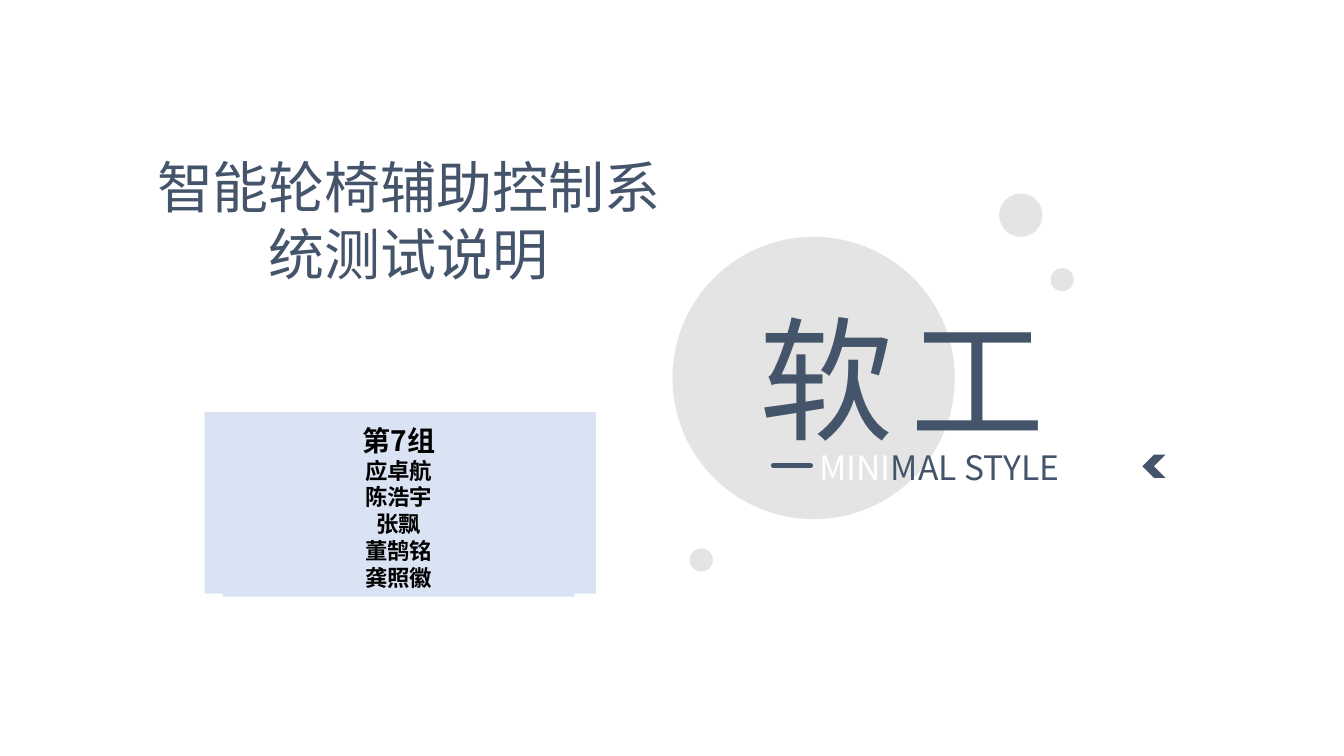
import pptx
import pptx.util
import pptx.dml.color
import pptx.enum.shapes
import pptx.enum.text
import pptx.oxml.ns
import lxml.etree

Inches = pptx.util.Inches
RGBColor = pptx.dml.color.RGBColor
SHAPE = pptx.enum.shapes.MSO_SHAPE
ALIGN = pptx.enum.text.PP_ALIGN
ANCHOR = pptx.enum.text.MSO_ANCHOR
qn = pptx.oxml.ns.qn

NAVY = RGBColor(0x44, 0x54, 0x6A)
GREY = RGBColor(0xD9, 0xD9, 0xD9)
PALE_BLUE = RGBColor(0xDA, 0xE3, 0xF3)
WHITE = RGBColor(0xFF, 0xFF, 0xFF)
BLACK = RGBColor(0, 0, 0)
FONT = "Noto Sans CJK SC"


def add_filled(kind, left, top, width, height, color):
    shape = slide.shapes.add_shape(
        kind, Inches(left), Inches(top), Inches(width), Inches(height))
    shape.shadow.inherit = False
    shape.fill.solid()
    shape.fill.fore_color.rgb = color
    shape.line.fill.background()
    return shape


def format_paragraph(paragraph, size, color, align, bold=False):
    paragraph.alignment = align
    font = paragraph.font
    font.size = pptx.util.Pt(size)
    font.bold = bold
    font.name = FONT
    if color is not None:
        font.color.rgb = color
    # East Asian typeface
    lxml.etree.SubElement(font._element, qn("a:ea"), typeface=FONT)


presentation = pptx.Presentation()
presentation.slide_width = Inches(13.33)
presentation.slide_height = Inches(7.5)
slide = presentation.slides.add_slide(presentation.slide_layouts[5])

# Title
title = slide.shapes.title
title.left, title.top = Inches(1.27), Inches(1.46)
title.width, title.height = Inches(5.57), Inches(1.45)
title.text_frame.text = "智能轮椅辅助控制系统测试说明"
title.text_frame.word_wrap = True
title.text_frame.auto_size = pptx.enum.text.MSO_AUTO_SIZE.NONE
title.text_frame.vertical_anchor = ANCHOR.TOP
format_paragraph(title.text_frame.paragraphs[0], 40, NAVY, ALIGN.CENTER)

# Translucent bubbles
for left, top, diameter in [(6.67, 2.35, 2.8), (9.91, 1.92, 0.43),
                            (10.42, 2.66, 0.23), (6.84, 5.44, 0.23)]:
    bubble = add_filled(SHAPE.FLOWCHART_CONNECTOR, left, top,
                        diameter, diameter, GREY)
    bubble_color = bubble.fill._xPr.find(".//" + qn("a:srgbClr"))
    lxml.etree.SubElement(bubble_color, qn("a:alpha"), val="70000")

# Large course name
for left, character in [(7.43, "软"), (8.93, "工")]:
    course = slide.shapes.add_textbox(
        Inches(left), Inches(2.89), Inches(1.55), Inches(1.72)).text_frame
    course.word_wrap = False
    course.text = character
    format_paragraph(course.paragraphs[0], 96, NAVY, ALIGN.LEFT)

# Two-tone tagline
tagline = slide.shapes.add_textbox(
    Inches(8.03), Inches(4.38), Inches(3.27), Inches(0.5)).text_frame
tagline.word_wrap = True
for words, color in [("MINI", WHITE), ("MAL STYLE", NAVY)]:
    part = tagline.paragraphs[0].add_run()
    part.text = words
    part.font.color.rgb = color
format_paragraph(tagline.paragraphs[0], 24, None, ALIGN.JUSTIFY)

# Dash before the tagline and left-pointing chevron after it
dash = slide.shapes.add_connector(
    pptx.enum.shapes.MSO_CONNECTOR.STRAIGHT,
    Inches(7.67), Inches(4.62), Inches(8.04), Inches(4.62))
dash.line.color.rgb = NAVY
dash.line.width = pptx.util.Pt(3.5)
dash.line._get_or_add_ln().set("cap", "rnd")
lxml.etree.SubElement(dash._element.spPr, qn("a:effectLst"))
chevron = add_filled(SHAPE.CHEVRON, 11.33, 4.51, 0.23, 0.23, NAVY)
chevron.rotation = 180

# Group members on a double panel
add_filled(SHAPE.RECTANGLE, 2.03, 4.09, 3.88, 1.8, PALE_BLUE)
members = add_filled(SHAPE.RECTANGLE, 2.21, 4.14, 3.49, 1.78, PALE_BLUE).text_frame
members.word_wrap = True
members.vertical_anchor = ANCHOR.MIDDLE
members.text = "第7组\n应卓航\n陈浩宇\n张飘\n董鹄铭\n龚照徽"
for index, member in enumerate(members.paragraphs):
    format_paragraph(member, 16 if index else 20, BLACK, ALIGN.CENTER, bold=True)

presentation.save("out.pptx")
